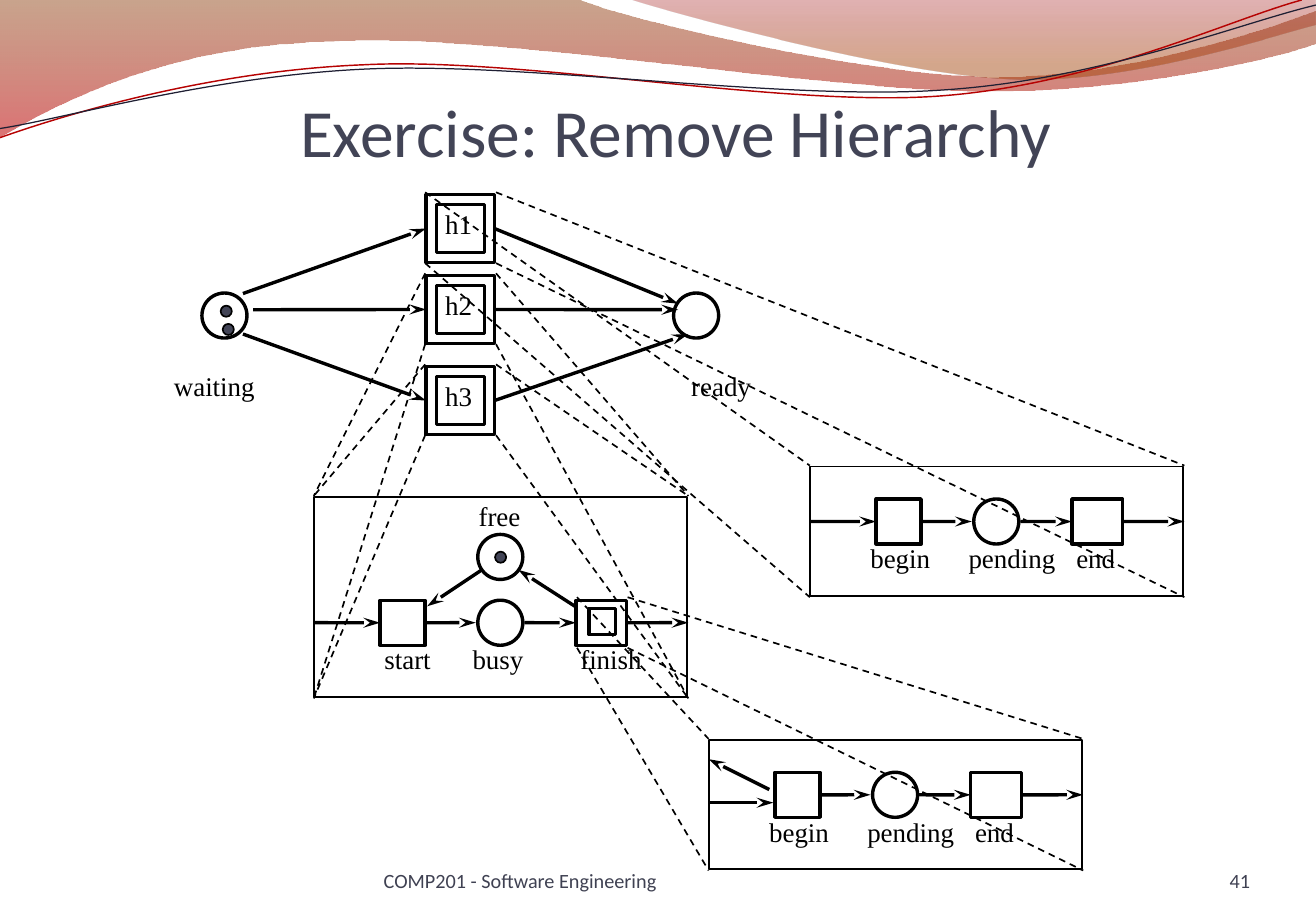
import lxml.etree
import pptx
import pptx.dml.color
import pptx.enum.dml
import pptx.enum.shapes
import pptx.enum.text
import pptx.oxml.ns
import pptx.util

COLS, ROWS = 130, 90
CELL = pptx.util.Inches(1 / 12)
SIDE, BOX, MID = 4.45, 6.75, 5.52
HUES = {"ink": "000000", "slate": "424456", "foot": "3F4152", "red": "B60202",
        "navy": "1F1F33", "rust": "883400", "blood": "BD0000",
        "wine": "9A0000", "clay": "A23E00"}
KIND = pptx.enum.shapes.MSO_SHAPE
ALIGN = pptx.enum.text.PP_ALIGN
ANCHOR = pptx.enum.text.MSO_ANCHOR

BAND = [(0, 0), [(57.2, 0)], [(61.8, 2), (86.3, 7.6), (98.6, 7.6)],
        [(110.9, 7.6), (124.6, 3.1), (130, 1.1)], [(130, 4.3)],
        [(127.8, 5.3), (113, 9.1), (97, 9)], [(80.9, 9), (49.7, 3.4), (33.5, 4.1)],
        [(16.8, 4.3), (6, 10), (0, 13.5)]]
VEIL = [(62.3, 0), [(66.2, 1.3), (88.7, 7.4), (100, 7.8)],
        [(111.2, 8.3), (125, 3.8), (130, 2.5)], [(130, 0)]]
UPPER = [(0, 13.6), [(6.2, 11.4), (20.5, 7), (36, 6.4)],
         [(51.4, 5.6), (77, 10.6), (92.6, 9.5)], [(108.2, 8.4), (121.5, 1.9), (128.6, 0)]]
LOWER = [(0, 12.7), [(6.1, 11.8), (21.2, 7.4), (36.8, 6.8)],
         [(52.3, 6.2), (77.6, 10), (93.1, 8.9)], [(108.7, 7.9), (122.4, 2.3), (130, 0.5)]]


def grid(*cells):
    """Turn grid cells into lengths."""
    return [pptx.util.Emu(round(cell * CELL)) for cell in cells]


def hue(name):
    """Look up a colour."""
    return pptx.dml.color.RGBColor.from_string(HUES[name])


def node(parent, tag, **attrs):
    """Append a drawing element."""
    return lxml.etree.SubElement(parent, pptx.oxml.ns.qn(tag), **attrs)


def stroke(shape, weight, name="ink"):
    """Set a solid outline."""
    shape.line.color.rgb = hue(name)
    shape.line.width = pptx.util.Pt(weight)


def trace(slide, route, closed):
    """Draw an outline of straight and curved parts."""
    maker = slide.shapes.build_freeform(*grid(*route[0]), scale=1.0)
    maker.add_line_segments([grid(*part[-1]) for part in route[1:]], close=closed)
    shape = maker.convert_to_shape()
    shape.shadow.inherit = False
    legs = list(shape.element.iter(pptx.oxml.ns.qn("a:lnTo")))
    for leg, part in zip(legs, route[1:]):
        if len(part) == 3:
            curve = node(leg.getparent(), "a:cubicBezTo")
            leg.getparent().replace(leg, curve)
            for spot in part:
                x, y = grid(*spot)
                node(curve, "a:pt", x=str(x - shape.left), y=str(y - shape.top))
    return shape


def wave(slide, route, stops):
    """Draw a filled band with a sheer gradient."""
    shape = trace(slide, route, True)
    shape.line.fill.background()
    shape.fill.gradient()
    shape.fill.gradient_angle = 270
    for stop, (place, name, alpha) in zip(shape.fill.gradient_stops, stops):
        stop.position = place
        stop.color.rgb = hue(name)
    marks = shape.element.iter(pptx.oxml.ns.qn("a:srgbClr"))
    for mark, (place, name, alpha) in zip(marks, stops):
        node(mark, "a:alpha", val=str(alpha * 1000))


def thread(slide, route, name, weight):
    """Draw a thin open curve."""
    shape = trace(slide, route, False)
    shape.fill.background()
    stroke(shape, weight, name)


def block(slide, x, y, w, h, kind=KIND.RECTANGLE, weight=2, fill=None):
    """Draw an outlined shape."""
    shape = slide.shapes.add_shape(kind, *grid(x, y, w, h))
    shape.shadow.inherit = False
    stroke(shape, weight)
    if fill:
        shape.fill.solid()
        shape.fill.fore_color.rgb = hue(fill)
    else:
        shape.fill.background()
    return shape


def place(slide, x, y):
    """Draw the ring of a place."""
    block(slide, x, y, SIDE, SIDE, KIND.OVAL)


def token(slide, x, y):
    """Draw a token."""
    block(slide, x, y, 1.1, 1.1, KIND.OVAL, 1, "slate")


def write(shape, text, size, font, name, align=ALIGN.LEFT):
    """Add one formatted run to a shape."""
    para = shape.text_frame.paragraphs[0]
    para.alignment = align
    run = para.add_run()
    run.text = text
    run.font.size = pptx.util.Pt(size)
    run.font.name = font
    run.font.color.rgb = hue(name)
    return para


def label(slide, text, x, y, w):
    """Name a part of the net."""
    box = slide.shapes.add_textbox(*grid(x, y, w, 4.1))
    box.text_frame.word_wrap = False
    write(box, text, 16, "Times New Roman", "ink").line_spacing = 0.9


def line(slide, start, end, dash=False):
    """Draw an arrow or dashed line, joined to any shape given as an end."""
    spots = [spot if isinstance(spot, tuple) else (0, 0) for spot in (start, end)]
    link = slide.shapes.add_connector(pptx.enum.shapes.MSO_CONNECTOR.STRAIGHT,
                                      *grid(*spots[0], *spots[1]))
    if not isinstance(start, tuple):
        link.begin_connect(start, 3)
    if not isinstance(end, tuple):
        link.end_connect(end, 1)
    stroke(link, 1 if dash else 2)
    if dash:
        link.line.dash_style = pptx.enum.dml.MSO_LINE.DASH
    else:
        node(link.line._get_or_add_ln(), "a:tailEnd", type="stealth", w="med", len="lg")
    node(link.element.spPr, "a:effectLst")


def fan(slide, small, large):
    """Join the like corners of two areas with dashed lines."""
    for i in (0, 2):
        for j in (1, 3):
            line(slide, (small[i], small[j]), (large[i], large[j]), True)


def chain(slide, x, y, names, inset, entry=None):
    """Draw a step, a place and a step in a row with their names."""
    first = block(slide, x + 6.55, y + 3.3, SIDE, SIDE)
    place(slide, x + 16.2, y + 3.3)
    last = block(slide, x + 25.9, y + 3.3, 5, SIDE)
    if entry:
        line(slide, (x, y + entry), (x + 6.4, y + entry))
    else:
        line(slide, (x, y + MID), first)
    line(slide, first, (x + 16, y + MID))
    line(slide, (x + 20.8, y + MID), last)
    line(slide, last, (x + 37, y + MID))
    for (text, w), left in zip(names, (inset, 14.5, 25.15)):
        label(slide, text, x + left, y + 7.3, w)


def frame(slide, x, y, right, base):
    """Draw the border of a subnet."""
    block(slide, x + 0.05, y + 0.08, right - x - 0.15, base - y - 0.2, weight=1)


def top(slide):
    """Draw the net with its three nested steps."""
    place(slide, 19.95, 28.95)
    token(slide, 21.8, 30.2)
    token(slide, 22, 32)
    place(slide, 66.55, 28.95)
    label(slide, "waiting", 16, 36.25, 10.4)
    label(slide, "ready", 67.1, 36.25, 8.3)
    for text, y, start, end in (("h1", 19, (24, 29), (67, 30)),
                                ("h2", 27, (25, 30.6), (67, 30.6)),
                                ("h3", 36, (24, 33), (68, 33))):
        step = block(slide, 42.1, y + 0.2, BOX, BOX)
        block(slide, 43.15, y + 1.2, BOX - 2, BOX - 2)
        label(slide, text, 42.8, y + 1.25, 6)
        line(slide, start, step)
        line(slide, step, end)


def nets(slide):
    """Draw the three subnets and the lines that open them."""
    near, far, deep = (31, 49, 68, 69), (80, 46, 117, 59), (70, 73, 107, 86)
    steps = (("begin", 8.3), ("pending", 11), ("end", 6.2))
    for area in (near, far, deep):
        frame(slide, *area)
    chain(slide, 31, 56, (("start", 7), ("busy", 7.4), ("finish", 8.5)), 5.8)
    chain(slide, 80, 46, steps, 4.8)
    chain(slide, 70, 73, steps, 4.8, 6.3)
    place(slide, 47.2, 52.8)
    token(slide, 48.9, 54.5)
    label(slide, "free", 46.1, 49.1, 6.6)
    block(slide, 58.2, 60.1, 2.6, 2.6)
    line(slide, (47.6, 56.3), (42.2, 59.9))
    line(slide, (56.8, 59.9), (51.2, 56.3))
    line(slide, (76, 78), (70, 75))
    for small, large in (((42, 19, 49, 26), far), ((42, 27, 49, 34), near),
                         ((42, 36, 49, 43), near), ((57, 59, 62, 64), deep)):
        fan(slide, small, large)


def inset(shape, head=0):
    """Trim the margins and set text at the base."""
    body = shape.text_frame
    body.margin_left = body.margin_right = body.margin_bottom = 0
    body.margin_top = grid(head)[0]
    body.vertical_anchor = ANCHOR.BOTTOM
    body.word_wrap = True


def title(slide, text):
    """Fill and move the title."""
    shape = slide.shapes.title
    shape.left, shape.top, shape.width, shape.height = grid(10.4, 6.6, 112.7, 10.3)
    inset(shape, 0.6)
    write(shape, text, 40, "Calibri", "slate", ALIGN.CENTER)


def foot(slide, text, x, w, align):
    """Add a footer text."""
    box = slide.shapes.add_textbox(*grid(x, 83.4, w, 4.8))
    inset(box)
    write(box, text, 12, "Calibri", "foot", align)


def main():
    """Build and save the slide."""
    deck = pptx.Presentation()
    deck.slide_width, deck.slide_height = grid(COLS, ROWS)
    slide = deck.slides.add_slide(deck.slide_layouts[5])
    wave(slide, BAND, ((0, "rust", 45), (1, "blood", 55)))
    wave(slide, VEIL, ((0, "wine", 30), (0.8, "clay", 45)))
    thread(slide, UPPER, "red", 0.85)
    thread(slide, LOWER, "navy", 0.75)
    title(slide, "Exercise: Remove Hierarchy")
    top(slide)
    nets(slide)
    foot(slide, "41", 112.7, 10.8, ALIGN.RIGHT)
    foot(slide, "COMP201 - Software Engineering", 37.9, 47.6, ALIGN.LEFT)
    deck.save("out.pptx")


if __name__ == "__main__":
    main()
